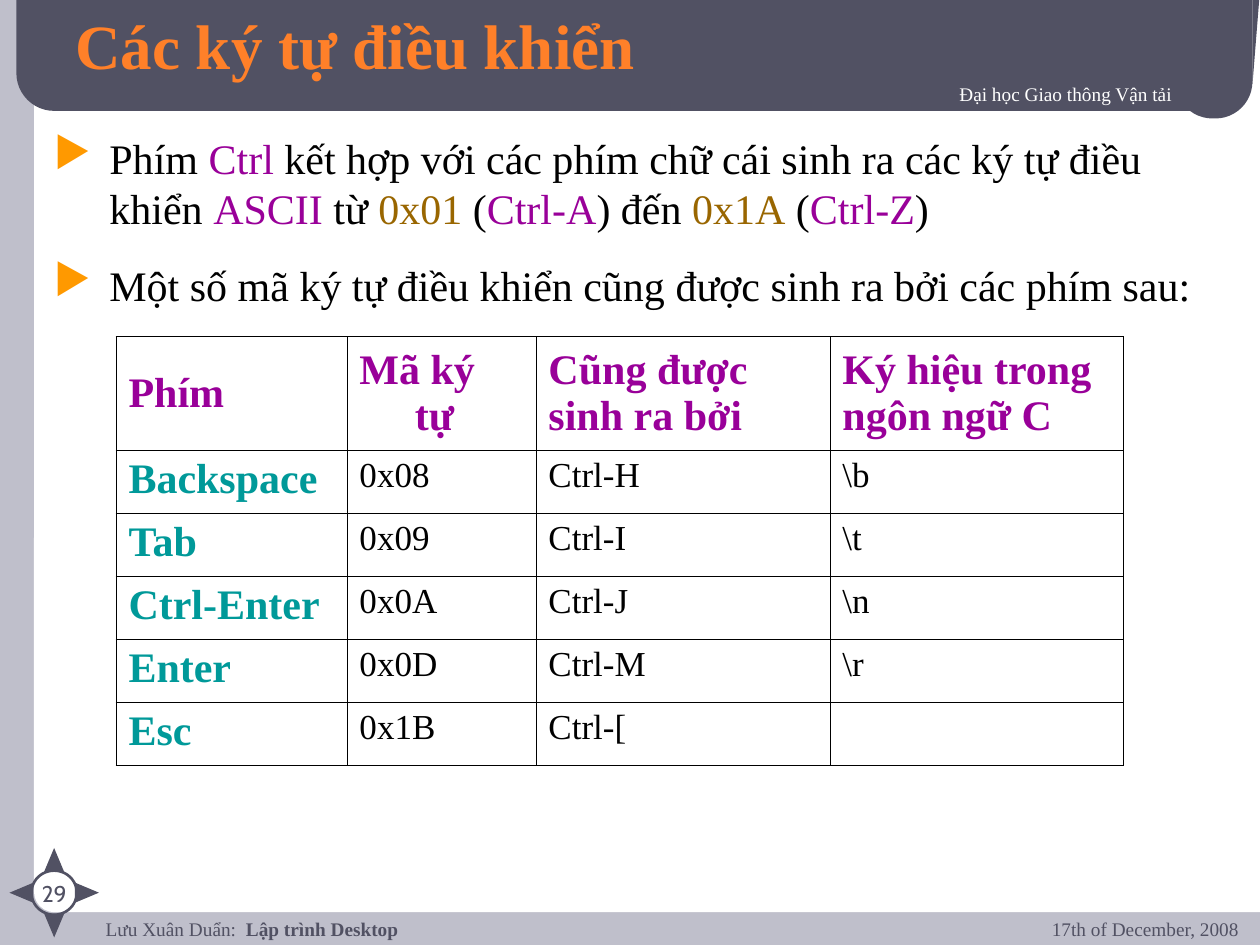
from math import cos, radians, sin
from lxml.etree import SubElement as Sub
from pptx import Presentation
from pptx.dml.color import RGBColor as RGB
from pptx.enum.shapes import MSO_SHAPE as Kind
from pptx.enum.text import MSO_ANCHOR as Anchor, PP_ALIGN as Align
from pptx.oxml import parse_xml
from pptx.oxml.ns import nsdecls, qn
from pptx.util import Inches, Pt

HUES = {"back": "BFBFCB", "slate": "515163", "white": "FFFFFF", "black": "000000",
        "title": "FF8029", "mark": "FF9900", "key": "990099", "code": "996600",
        "teal": "009999"}
SERIF = "Times New Roman"
POINTS = [
    [("Phím ", "black"), ("Ctrl", "key"),
     (" kết hợp với các phím chữ cái sinh ra các ký tự điều khiển ", "black"),
     ("ASCII", "key"), (" từ ", "black"), ("0x01", "code"), (" (", "black"),
     ("Ctrl-A", "key"), (") đến ", "black"), ("0x1A", "code"), (" (", "black"),
     ("Ctrl-Z", "key"), (")", "black")],
    [("Một số mã ký tự điều khiển cũng được sinh ra bởi các phím sau:", "black")],
]
HEAD = [["Phím"], ["Mã ký tự"], ["Cũng được sinh ra bởi"],
        ["Ký hiệu trong", "ngôn ngữ C"]]
KEYS = [
    ("Backspace", "0x08", "Ctrl-H", "\\b"),
    ("Tab", "0x09", "Ctrl-I", "\\t"),
    ("Ctrl-Enter", "0x0A", "Ctrl-J", "\\n"),
    ("Enter", "0x0D", "Ctrl-M", "\\r"),
    ("Esc", "0x1B", "Ctrl-[", ""),
]
COLS = (22, 18, 28, 28)
ROWS = (9, 5, 5, 5, 5, 5)

deck = Presentation()
deck.slide_width, deck.slide_height = Inches(10), Inches(7.5)
slide = deck.slides.add_slide(deck.slide_layouts[6])
slide.background.fill.solid()
slide.background.fill.fore_color.rgb = RGB.from_string(HUES["back"])
UNIT = deck.slide_width / 100


def cells(*nums):
    return [round(n * UNIT) for n in nums]


def shape(kind, at, fill=None, line=None, adj=None, turn=0):
    item = slide.shapes.add_shape(kind, *cells(*at))
    item.shadow.inherit = False
    item.rotation = turn
    if adj is not None:
        item.adjustments[0] = adj
    if fill:
        item.fill.solid()
        item.fill.fore_color.rgb = RGB.from_string(HUES[fill])
    else:
        item.fill.background()
    if line:
        item.line.color.rgb = RGB.from_string(HUES[line])
        item.line.width = Pt(1.5)
    else:
        item.line.fill.background()


def write(para, text, size, hue, bold=False, font=SERIF, shade=False):
    run = para.add_run()
    run.text = text
    run.font.size, run.font.bold, run.font.name = Pt(size), bold, font
    run.font.color.rgb = RGB.from_string(HUES[hue])
    if shade:
        run.font.fill._xPr.find(qn("a:solidFill")).addnext(parse_xml(
            f'<a:effectLst {nsdecls("a")}><a:outerShdw dist="17961" dir="2700000">'
            '<a:srgbClr val="000000"/></a:outerShdw></a:effectLst>'))


def text(at, align=Align.LEFT, anchor=Anchor.TOP):
    frame = slide.shapes.add_textbox(*cells(*at)).text_frame
    frame.word_wrap = True
    frame.vertical_anchor = anchor
    frame.paragraphs[0].alignment = align
    return frame


def hang(para):
    prop = para._p.get_or_add_pPr()
    prop.set("marL", str(Inches(0.44)))
    prop.set("indent", str(-Inches(0.44)))
    return prop


def border(cell):
    prop = cell._tc.get_or_add_tcPr()
    for n, side in enumerate(("lnL", "lnR", "lnT", "lnB")):
        prop.insert(n, parse_xml(
            f'<a:{side} {nsdecls("a")} w="{Pt(0.45)}"><a:solidFill>'
            f'<a:srgbClr val="{HUES["black"]}"/></a:solidFill></a:{side}>'))


def frame():
    shape(Kind.ROUNDED_RECTANGLE, (2.7, -1.3, 100.1, 73.7), "white", adj=0.022)
    shape(Kind.ROUNDED_RECTANGLE, (1.3, -3.6, 98.1, 12.4), "slate", adj=0.242)
    shape(Kind.ROUNDED_RECTANGLE, (93.3, 2.9, 6.1, 6.5), "slate", adj=0.48)
    shape(Kind.RIGHT_TRIANGLE, (95.95, 2.65, 7.5, 0.6), "slate", turn=90)


def compass(x=4.3, y=70.85, reach=2.6, wide=1.6, high=1.9):
    shape(Kind.OVAL, (x - 1.8, y - 1.75, 3.6, 3.5), line="slate")
    for turn in range(0, 360, 90):
        mid = x + reach * sin(radians(turn)), y - reach * cos(radians(turn))
        shape(Kind.ISOSCELES_TRIANGLE, (mid[0] - wide / 2, mid[1] - high / 2, wide, high),
              "slate", turn=turn)
    page = text((1.4, 69.3, 5.8, 2.2), Align.CENTER)
    write(page.paragraphs[0], "29", 13, "slate", font="Cabin")


def labels():
    foot = text((7.4, 72.8, 77.4, 3.3))
    foot.margin_top = foot.margin_bottom = 0
    write(foot.paragraphs[0], "Lưu Xuân Duẩn:  ", 11, "slate")
    write(foot.paragraphs[0], "Lập trình Desktop", 11, "slate", True)
    school = text((30.3, 6, 63.7, 3.8), Align.RIGHT)
    write(school.paragraphs[0], "Đại học Giao thông Vận tải", 11, "white", shade=True)
    date = text((75.2, 72.3, 24.1, 4.2), Align.RIGHT)
    write(date.paragraphs[0], "17th of December, 2008", 11, "slate")
    title = text((5, 0, 90, 7), anchor=Anchor.MIDDLE)
    write(title.paragraphs[0], "Các ký tự điều khiển", 36, "title", True, shade=True)


def body():
    area = text((3.3, 10, 94.2, 15.1))
    for n, parts in enumerate(POINTS):
        para = area.add_paragraph() if n else area.paragraphs[0]
        para.space_before = Pt(15)
        prop = hang(para)
        Sub(Sub(prop, qn("a:buClr")), qn("a:srgbClr"), val=HUES["mark"])
        Sub(prop, qn("a:buChar"), char="▶")
        for words, hue in parts:
            write(para, words, 24, hue)


def grid():
    wide, high = 80, sum(ROWS)
    table = slide.shapes.add_table(len(ROWS), len(COLS), *cells(9.2, 26.7, wide, high)).table
    table.first_row = table.horz_banding = False
    for col, share in zip(table.columns, COLS):
        col.width = round(wide * share / sum(COLS) * UNIT)
    for row, tall in zip(table.rows, ROWS):
        row.height = round(tall * UNIT)
    data = [HEAD] + [[[word] for word in row] for row in KEYS]
    for r, row in enumerate(data):
        for c, lines in enumerate(row):
            cell = table.cell(r, c)
            cell.fill.background()
            border(cell)
            cell.vertical_anchor = Anchor.TOP if r else Anchor.MIDDLE
            look = (24, "key", True) if r == 0 else (
                (24, "teal", True) if c == 0 else (20, "black", False))
            for n, line in enumerate(lines):
                para = cell.text_frame.add_paragraph() if n else cell.text_frame.paragraphs[0]
                if (r, c) != (0, 2):
                    hang(para)
                if line:
                    write(para, line, *look)


frame()
compass()
labels()
body()
grid()
deck.save("out.pptx")
